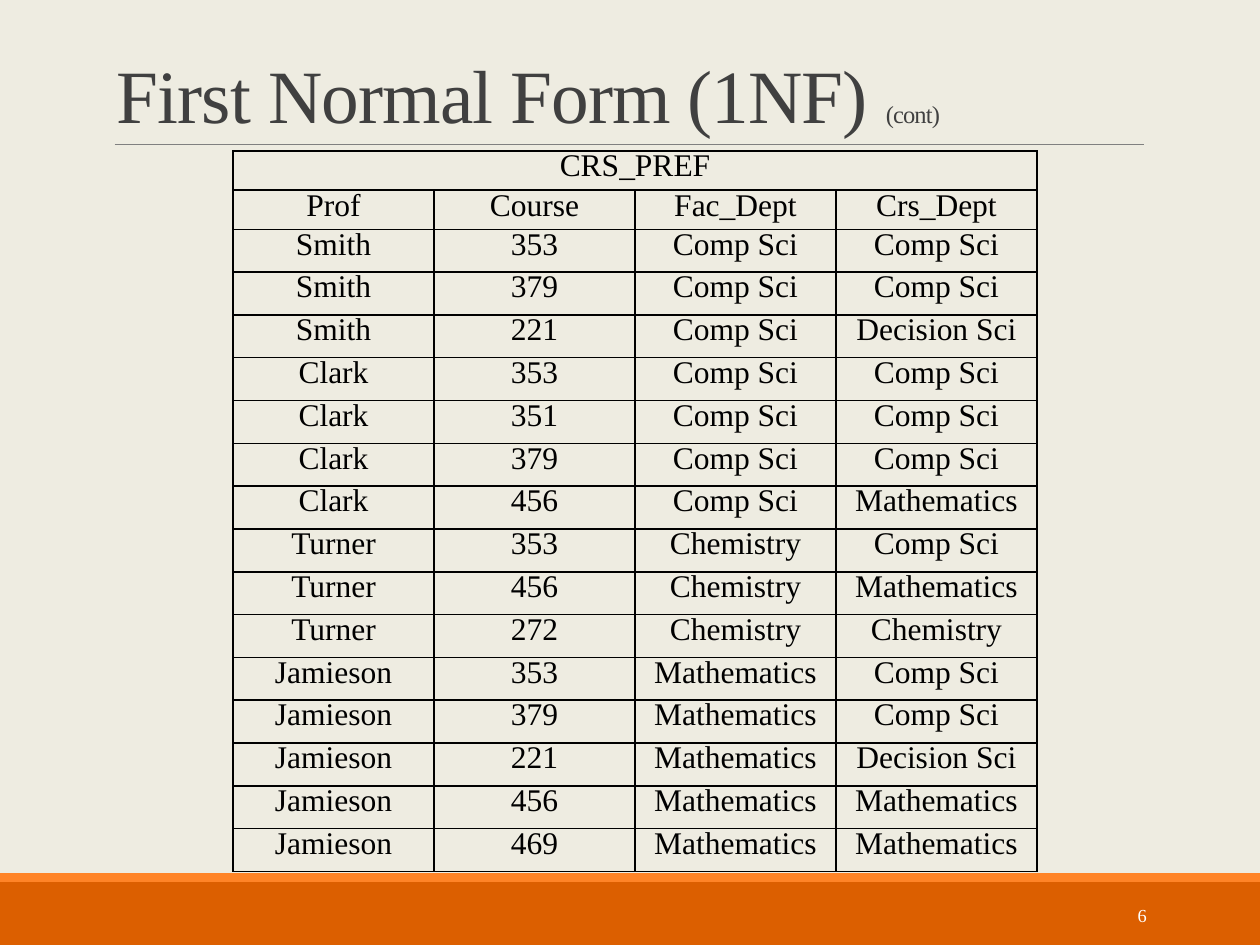
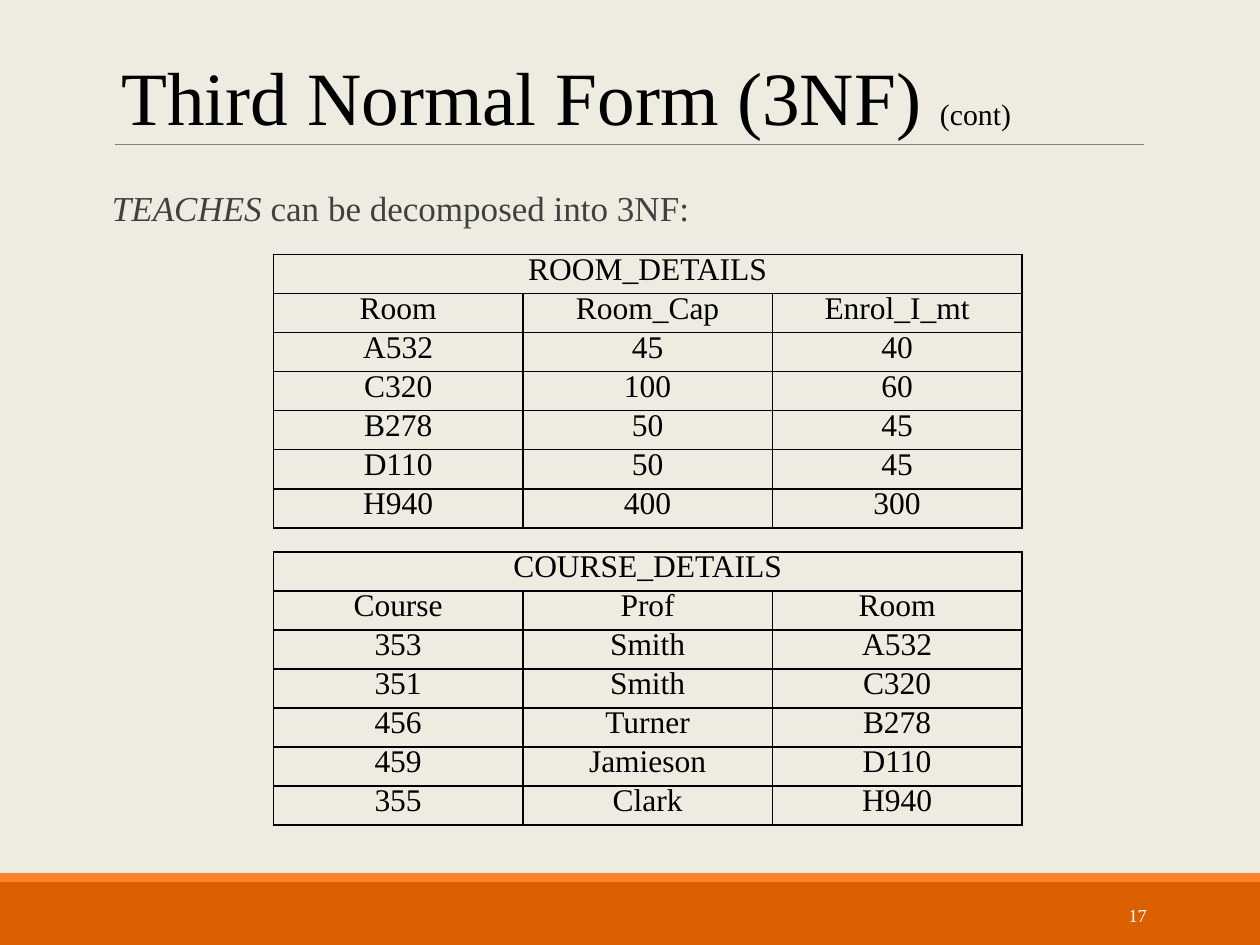
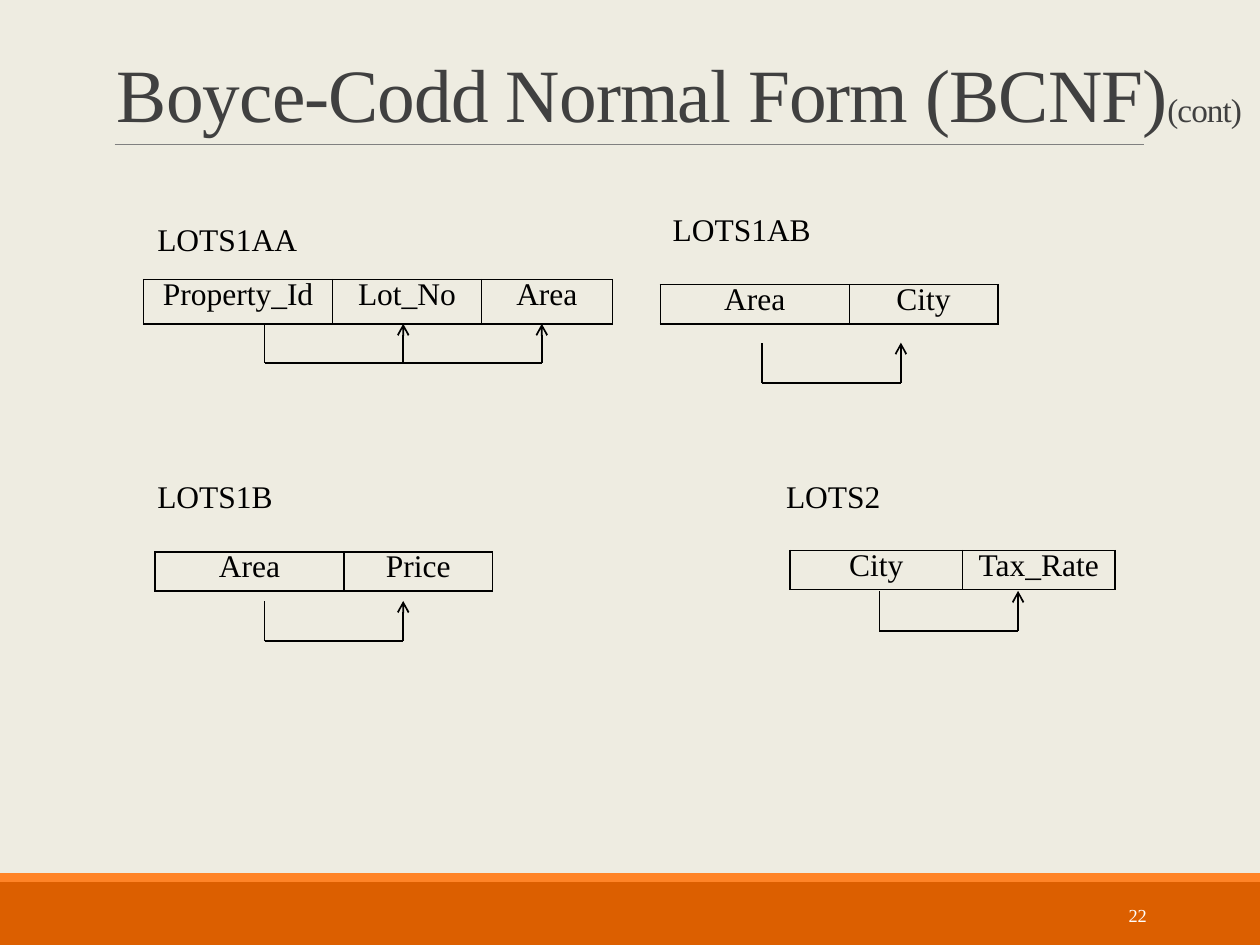
"""Build three slides on database normal forms with tables and dependency arrows."""

from dataclasses import dataclass
from typing import Any, NamedTuple

from lxml.etree import SubElement
from pptx import Presentation
from pptx.dml.color import RGBColor
from pptx.enum.shapes import MSO_CONNECTOR, MSO_SHAPE
from pptx.enum.text import MSO_ANCHOR, MSO_AUTO_SIZE, PP_ALIGN
from pptx.oxml.ns import qn
from pptx.util import Inches, Pt

PAPER = RGBColor(0xEE, 0xEC, 0xE1)
RUST = RGBColor(0xDC, 0x5F, 0x00)
ORANGE = RGBColor(0xFF, 0x84, 0x27)
GREY = RGBColor(0x80, 0x80, 0x80)
DARK = RGBColor(0x40, 0x40, 0x40)
BLACK = RGBColor(0, 0, 0)
WHITE = RGBColor(0xFF, 0xFF, 0xFF)
FONT = "Times New Roman"
HEAD = 0.31
STEP = 1.1

TITLE = {"vertical_anchor": MSO_ANCHOR.BOTTOM}
MIDDLE = {"vertical_anchor": MSO_ANCHOR.MIDDLE}
LABEL = {"auto_size": MSO_AUTO_SIZE.SHAPE_TO_FIT_TEXT}
BODY = {"margin_left": 0, "margin_right": 0}
TIGHT = {"line_spacing": 0.85}
CENTRE = {"alignment": PP_ALIGN.CENTER}
RIGHT = {"alignment": PP_ALIGN.RIGHT}
CELL = {"alignment": PP_ALIGN.CENTER, "line_spacing": Pt(15)}
POINT = {"line_spacing": 0.9, "space_before": Pt(12), "space_after": Pt(2)}


class Box(NamedTuple):
    """Place of a shape in inches."""

    left: float
    top: float
    width: float
    height: float

    def emu(self) -> list[int]:
        """Give the four lengths to python-pptx."""
        return [Inches(side) for side in self]


class Piece(NamedTuple):
    """A run of text in one format."""

    text: str
    size: float
    color: RGBColor = BLACK
    slant: bool = False
    track: int = 0


@dataclass
class Grid:
    """A table whose one-cell rows span all columns."""

    left: float
    top: float
    cols: list[float]
    rows: list[str]
    depth: float = HEAD
    heads: int = 0


class Link(NamedTuple):
    """A bracket from one column with arrows up to the next ones."""

    left: float
    base: float
    heads: int = 1
    rise: float = 0.32


def style(part: Any, form: dict[str, Any]) -> None:
    """Set each value of a format on a part."""
    for name, value in form.items():
        setattr(part, name, value)


def write(para: Any, pieces: list[Piece], form: dict[str, Any]) -> None:
    """Fill a paragraph with pieces."""
    style(para, form)
    for piece in pieces:
        run = para.add_run()
        run.text = piece.text
        style(run.font, {"name": FONT, "size": Pt(piece.size), "italic": piece.slant})
        run.font.color.rgb = piece.color
        if piece.track:
            run.font._element.set("spc", str(piece.track))


def add_text(slide: Any, box: Box, pieces: list[Piece],
             frame: dict[str, Any], form: dict[str, Any]) -> Any:
    """Add a text box and return its paragraph."""
    area = slide.shapes.add_textbox(*box.emu()).text_frame
    style(area, {"word_wrap": True} | frame)
    write(area.paragraphs[0], pieces, form)
    return area.paragraphs[0]


def add_band(slide: Any, box: Box, color: RGBColor) -> None:
    """Add a plain filled band."""
    band = slide.shapes.add_shape(MSO_SHAPE.RECTANGLE, *box.emu())
    band.shadow.inherit = False
    band.fill.solid()
    band.fill.fore_color.rgb = color
    band.line.fill.background()


def add_line(slide: Any, start: tuple[float, float], end: tuple[float, float],
             color: RGBColor = BLACK, width: float = 1, arrow: bool = False) -> None:
    """Add a straight line, with an arrowhead at its end if asked."""
    ends = [Inches(value) for value in (*start, *end)]
    line = slide.shapes.add_connector(MSO_CONNECTOR.STRAIGHT, *ends)
    line.line.color.rgb = color
    line.line.width = Pt(width)
    props = line._element.spPr
    if arrow:
        SubElement(props.find(qn("a:ln")), qn("a:tailEnd"), type="arrow")
    SubElement(props, qn("a:effectLst"))


def add_link(slide: Any, link: Link) -> None:
    """Draw a bracket with its stems."""
    stems = [link.left + STEP * place for place in range(link.heads + 1)]
    add_line(slide, (stems[0], link.base), (stems[-1], link.base))
    for place, stem in enumerate(stems):
        add_line(slide, (stem, link.base), (stem, link.base - link.rise), arrow=place > 0)


def edge(cell: Any) -> None:
    """Give a cell black borders and no fill."""
    props = cell._tc.get_or_add_tcPr()
    for side in ("lnL", "lnR", "lnT", "lnB"):
        line = SubElement(props, qn(f"a:{side}"), w=str(Pt(1)))
        fill = SubElement(line, qn("a:solidFill"))
        SubElement(fill, qn("a:srgbClr"), val=str(BLACK))
    cell.fill.background()


def add_grid(slide: Any, grid: Grid) -> None:
    """Add a table with centred text."""
    deep = [HEAD if place < grid.heads else grid.depth for place in range(len(grid.rows))]
    box = Box(grid.left, grid.top, sum(grid.cols), sum(deep))
    table = slide.shapes.add_table(len(deep), len(grid.cols), *box.emu()).table
    style(table, {"first_row": False, "horz_banding": False})
    for column, width in zip(table.columns, grid.cols):
        column.width = Inches(width)
    for row, height, line in zip(table.rows, deep, grid.rows):
        row.height = Inches(height)
        words = line.split("|")
        for cell in row.cells:
            edge(cell)
        for cell, word in zip(row.cells, words):
            write(cell.text_frame.paragraphs[0], [Piece(word, 18)], CELL)
        if len(words) == 1:
            row.cells[0].merge(row.cells[len(grid.cols) - 1])


def add_page(deck: Any, number: int) -> Any:
    """Add a slide with bands, title rule and number."""
    slide = deck.slides.add_slide(deck.slide_layouts[6])
    add_band(slide, Box(0, 7, 10, 0.5), RUST)
    add_band(slide, Box(0, 6.93, 10, 0.07), ORANGE)
    add_line(slide, (0.91, 1.15), (9.08, 1.15), GREY, 0.5)
    add_text(slide, Box(8.12, 7.06, 1.08, 0.4), [Piece(str(number), 10.5, WHITE)], MIDDLE, RIGHT)
    return slide


def add_title(slide: Any, box: Box, text: str, size: float) -> None:
    """Add a grey title with a small ending."""
    pieces = [Piece(text, 43, DARK, track=-50), Piece("(cont)", size, DARK, track=-50)]
    add_text(slide, box, pieces, TITLE, TIGHT)


def first_form(deck: Any) -> None:
    """Build the slide on the first normal form."""
    slide = add_page(deck, 6)
    add_grid(slide, Grid(1.85, 1.2, [1.595] * 4, COURSES, 0.34, 2))
    add_title(slide, Box(0.83, 0.29, 9, 0.86), "First Normal Form (1NF) ", 14)


def third_form(deck: Any) -> None:
    """Build the slide on the third normal form."""
    slide = add_page(deck, 17)
    pieces = [Piece("TEACHES", 20, DARK, True), Piece(" can be decomposed into 3NF:", 20, DARK)]
    para = add_text(slide, Box(0.75, 1.47, 9, 5.23), pieces, BODY, POINT)
    props = para._p.get_or_add_pPr()
    props.set("marL", str(Inches(0.1)))
    props.set("indent", str(Inches(-0.1)))
    SubElement(props, qn("a:buChar"), char=" ")
    for top, rows in ((4.38, DETAILS), (2.02, ROOMS)):
        add_grid(slide, Grid(2.17, top, [1.98] * 3, rows))
    pieces = [Piece("Third Normal Form (3NF) ", 43), Piece("(cont)", 17)]
    add_text(slide, Box(0.43, 0.21, 8.13, 1.09), pieces, MIDDLE, CENTRE)


def boyce_form(deck: Any) -> None:
    """Build the slide on the Boyce-Codd normal form."""
    slide = add_page(deck, 22)
    add_title(slide, Box(0.83, -0.11, 9.76, 1.25), "Boyce-Codd Normal Form (BCNF)", 19)
    for grid in LOTS:
        add_grid(slide, grid)
    for link in LINKS:
        add_link(slide, link)
    for text, left, top in LABELS:
        add_text(slide, Box(left, top, 1.5, 0.4), [Piece(text, 18)], LABEL, {})


COURSES = [
    "CRS_PREF",
    "Prof|Course|Fac_Dept|Crs_Dept",
    "Smith|353|Comp Sci|Comp Sci",
    "Smith|379|Comp Sci|Comp Sci",
    "Smith|221|Comp Sci|Decision Sci",
    "Clark|353|Comp Sci|Comp Sci",
    "Clark|351|Comp Sci|Comp Sci",
    "Clark|379|Comp Sci|Comp Sci",
    "Clark|456|Comp Sci|Mathematics",
    "Turner|353|Chemistry|Comp Sci",
    "Turner|456|Chemistry|Mathematics",
    "Turner|272|Chemistry|Chemistry",
    "Jamieson|353|Mathematics|Comp Sci",
    "Jamieson|379|Mathematics|Comp Sci",
    "Jamieson|221|Mathematics|Decision Sci",
    "Jamieson|456|Mathematics|Mathematics",
    "Jamieson|469|Mathematics|Mathematics",
]
ROOMS = [
    "ROOM_DETAILS",
    "Room|Room_Cap|Enrol_I_mt",
    "A532|45|40",
    "C320|100|60",
    "B278|50|45",
    "D110|50|45",
    "H940|400|300",
]
DETAILS = [
    "COURSE_DETAILS",
    "Course|Prof|Room",
    "353|Smith|A532",
    "351|Smith|C320",
    "456|Turner|B278",
    "459|Jamieson|D110",
    "355|Clark|H940",
]
LOTS = [
    Grid(1.14, 2.22, [1.5, 1.18, 1.04], ["Property_Id|Lot_No|Area"], 0.35),
    Grid(1.23, 4.38, [1.5, 1.18], ["Area|Price"]),
    Grid(6.27, 4.37, [1.37, 1.21], ["City|Tax_Rate"]),
    Grid(5.24, 2.26, [1.5, 1.18], ["Area|City"]),
]
LINKS = [Link(2.1, 2.88, 2, 0.31), Link(6.05, 3.04), Link(6.98, 5.01), Link(2.1, 5.09)]
LABELS = [
    ("LOTS1AA", 1.15, 1.7),
    ("LOTS1B", 1.15, 3.74),
    ("LOTS2", 6.14, 3.74),
    ("LOTS1AB", 5.24, 1.62),
]


def main() -> None:
    """Build and save the deck."""
    deck = Presentation()
    style(deck, {"slide_width": Inches(10), "slide_height": Inches(7.5)})
    back = deck.slide_master.background.fill
    back.solid()
    back.fore_color.rgb = PAPER
    for build in (first_form, third_form, boyce_form):
        build(deck)
    deck.save("out.pptx")


main()
